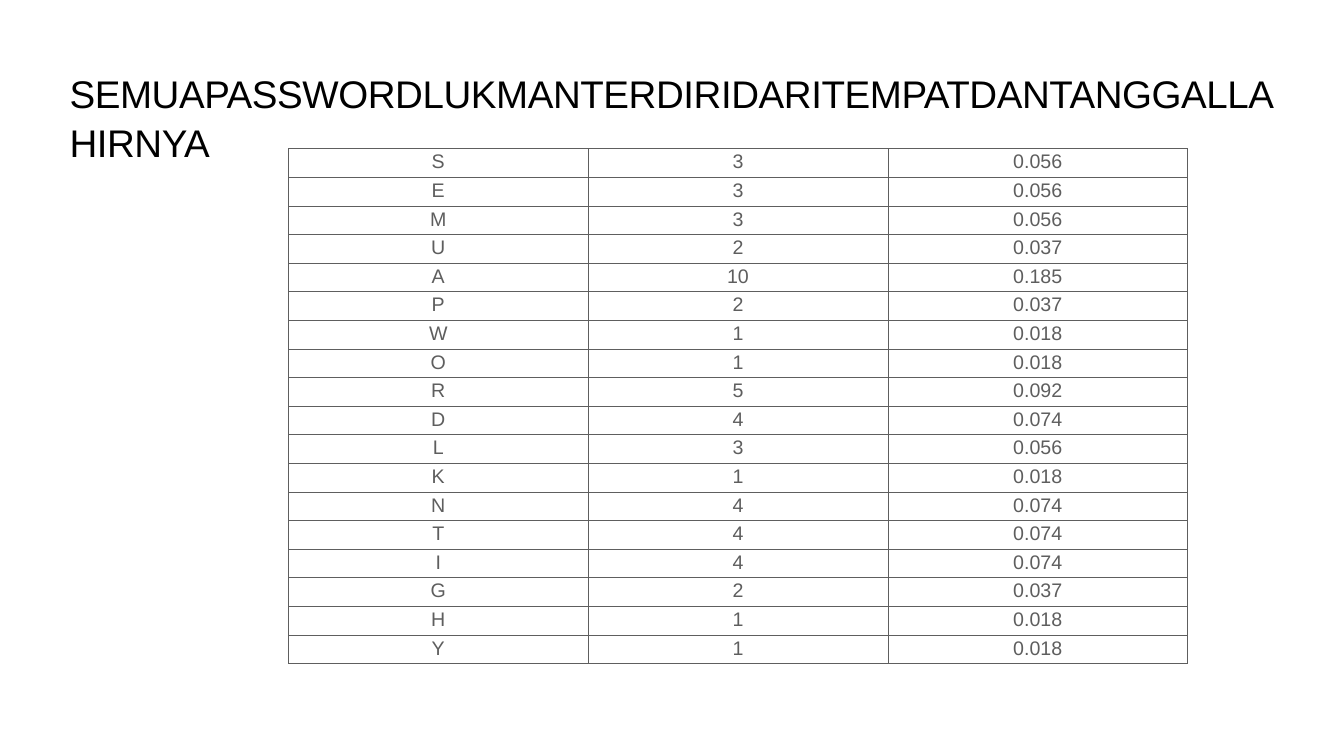
import pptx
import pptx.util
import pptx.dml.color
import pptx.enum.text
import pptx.oxml
import pptx.oxml.ns

Pt = pptx.util.Pt
COLORS = {"black": "000000", "gray": "5E5E5E"}
TITLE = "SEMUAPASSWORDLUKMANTERDIRIDARITEMPATDANTANGGALLAHIRNYA"

# Letter, count, frequency
ROWS = [
    ("S", "3", "0.056"),
    ("E", "3", "0.056"),
    ("M", "3", "0.056"),
    ("U", "2", "0.037"),
    ("A", "10", "0.185"),
    ("P", "2", "0.037"),
    ("W", "1", "0.018"),
    ("O", "1", "0.018"),
    ("R", "5", "0.092"),
    ("D", "4", "0.074"),
    ("L", "3", "0.056"),
    ("K", "1", "0.018"),
    ("N", "4", "0.074"),
    ("T", "4", "0.074"),
    ("I", "4", "0.074"),
    ("G", "2", "0.037"),
    ("H", "1", "0.018"),
    ("Y", "1", "0.018"),
]


class Deck:
    """Holds the style and the current slide."""

    font = "Arial"

    def __init__(self, wide, high):
        self.prs = pptx.Presentation()
        self.prs.slide_width, self.prs.slide_height = Pt(wide), Pt(high)
        self.slide = self.prs.slides.add_slide(self.prs.slide_layouts[6])

    def run(self, para, text, size, color):
        run = para.add_run()
        run.text = text
        run.font.name, run.font.size = self.font, Pt(size)
        run.font.color.rgb = pptx.dml.color.RGBColor.from_string(COLORS[color])
        return run

    def text(self, box, text, size, color, inset):
        frame = self.slide.shapes.add_textbox(*map(Pt, box)).text_frame
        frame.word_wrap = True
        frame.margin_left = frame.margin_right = Pt(inset)
        frame.margin_top = frame.margin_bottom = Pt(inset)
        para = frame.paragraphs[0]
        para.space_before, para.line_spacing = Pt(18), 1.06
        run = self.run(para, text, size, color)
        run.font._element.set("spc", "-60")  # tighter letters

    def border(self, cell, color):
        props = cell._tc.get_or_add_tcPr()
        space = pptx.oxml.ns.nsdecls("a")
        for i, side in enumerate(("lnL", "lnR", "lnT", "lnB")):
            props.insert(i, pptx.oxml.parse_xml(
                f'<a:{side} {space} w="{Pt(1)}"><a:solidFill>'
                f'<a:srgbClr val="{COLORS[color]}"/></a:solidFill></a:{side}>'))

    def table(self, left, top, wide, high, rows, size, color):
        count, cols = len(rows), len(rows[0])
        grid = self.slide.shapes.add_table(
            count, cols, Pt(left), Pt(top), Pt(wide * cols), Pt(high * count)).table
        grid.first_row = grid.horz_banding = False
        for col in grid.columns:
            col.width = Pt(wide)
        for line, row in zip(grid.rows, rows):
            line.height = Pt(high)
            for cell, text in zip(line.cells, row):
                cell.margin_top = cell.margin_bottom = Pt(3.6)
                cell.fill.background()
                self.border(cell, color)
                para = cell.text_frame.paragraphs[0]
                para.alignment = pptx.enum.text.PP_ALIGN.CENTER
                self.run(para, text, size, color)


def main():
    deck = Deck(1920, 1080)
    # Message
    deck.text((95, 92, 1730, 892), TITLE, 55, "black", 4.3)
    # Letter counts
    deck.table(412, 212.5, 428.2, 40.3, ROWS, 28, "gray")
    deck.prs.save("out.pptx")


if __name__ == "__main__":
    main()
